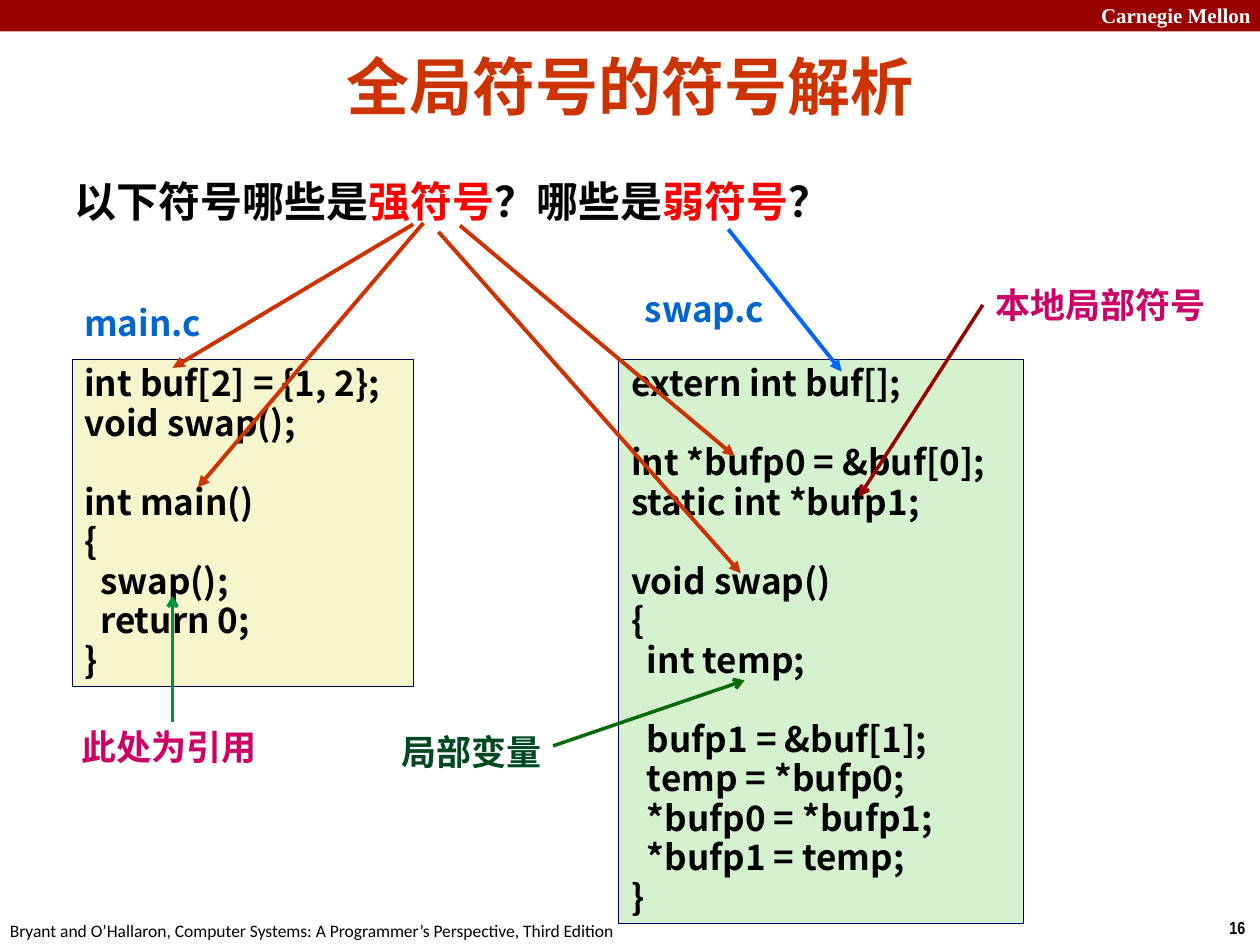
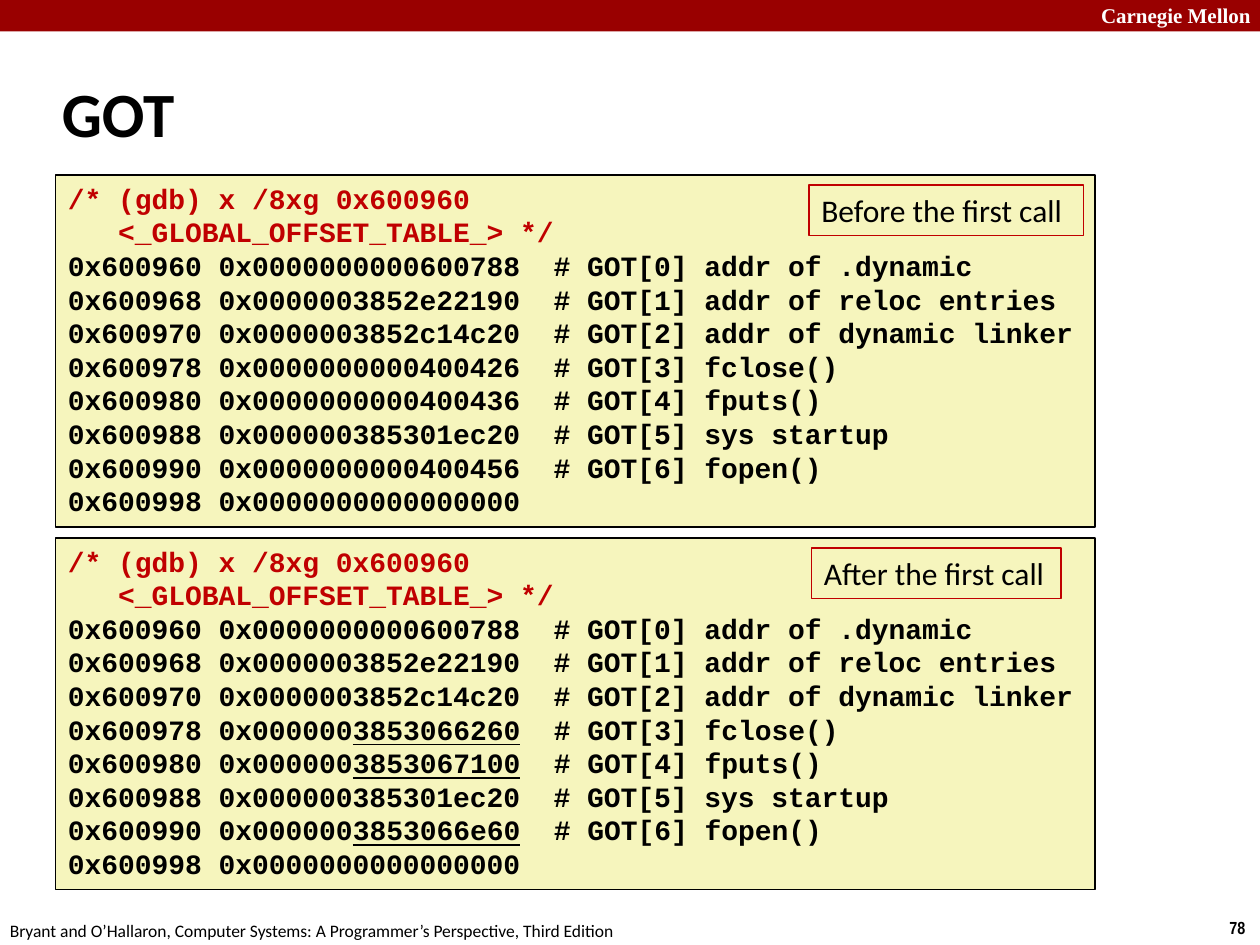
from dataclasses import dataclass, field
from typing import Any

from lxml import etree
from pptx import Presentation
from pptx import util as u
from pptx.dml import color
from pptx.enum import shapes, text
from pptx.oxml import ns

BAND_RED = "990000"
ORANGE = "CC3300"
BLUE = "0066CC"
MAGENTA = "CC0066"
RED = "FF0000"
DARK_RED = "C00000"
BLACK = "000000"
CJK = "Noto Sans CJK SC"
LEFT, CENTER, RIGHT = text.PP_ALIGN.LEFT, text.PP_ALIGN.CENTER, text.PP_ALIGN.RIGHT


@dataclass(frozen=True)
class Style:
    size: float
    font: str
    colour: str = BLACK
    bold: bool = True
    align: Any = LEFT
    spacing: float = 1.0


@dataclass(frozen=True)
class Run:
    words: str
    colour: str = ""
    underline: bool = False


@dataclass(frozen=True)
class Box:
    left: float
    top: float
    width: float
    height: float
    lines: list[list[Run]] = field(default_factory=list)
    style: Style = Style(20, CJK)
    fill: str = ""
    line: str = ""
    line_width: float = 1
    wrap: bool = True


@dataclass(frozen=True)
class Arrow:
    start: tuple[float, float]
    end: tuple[float, float]
    colour: str = ORANGE
    width: float = 2.25
    head: str = "triangle"


def rgb(value: str) -> color.RGBColor:
    return color.RGBColor.from_string(value)


def set_attributes(target: Any, values: dict[str, Any]) -> None:
    for name, value in values.items():
        setattr(target, name, value)


def plain(words: str) -> list[list[Run]]:
    return [[Run(line)] if line else [] for line in words.split("\n")]


def write_text(frame: Any, lines: list[list[Run]], style: Style, wrap: bool = True,
               anchor: Any = text.MSO_ANCHOR.TOP) -> None:
    set_attributes(frame, {
        "word_wrap": wrap, "auto_size": text.MSO_AUTO_SIZE.NONE, "vertical_anchor": anchor,
        "margin_left": u.Inches(0.1), "margin_right": u.Inches(0.1),
        "margin_top": u.Inches(0.05), "margin_bottom": u.Inches(0.05)})
    for index, runs in enumerate(lines):
        paragraph = frame.add_paragraph() if index else frame.paragraphs[0]
        set_attributes(paragraph, {"alignment": style.align, "line_spacing": style.spacing})
        for part in runs:
            run = paragraph.add_run()
            run.text = part.words
            set_attributes(run.font, {"size": u.Pt(style.size), "name": style.font,
                                      "bold": style.bold, "underline": part.underline})
            run.font.color.rgb = rgb(part.colour or style.colour)
            east_asian = etree.Element(ns.qn("a:ea"), typeface=CJK)
            run.font._element.find(ns.qn("a:latin")).addnext(east_asian)
        if not runs:
            end = etree.SubElement(paragraph._p, ns.qn("a:endParaRPr"),
                                   sz=str(int(style.size * 100)), b="1")
            etree.SubElement(end, ns.qn("a:latin"), typeface=style.font)


def add_box(slide: Any, box: Box) -> None:
    place = [u.Inches(value) for value in (box.left, box.top, box.width, box.height)]
    if box.fill or box.line:
        shape = slide.shapes.add_shape(shapes.MSO_SHAPE.RECTANGLE, *place)
        shape.shadow.inherit = False
        if box.fill:
            shape.fill.solid()
            shape.fill.fore_color.rgb = rgb(box.fill)
        else:
            shape.fill.background()
        if box.line:
            shape.line.color.rgb = rgb(box.line)
            shape.line.width = u.Pt(box.line_width)
        else:
            shape.line.fill.background()
    else:
        shape = slide.shapes.add_textbox(*place)
    write_text(shape.text_frame, box.lines, box.style, box.wrap)


def add_arrow(slide: Any, arrow: Arrow) -> None:
    points = [u.Inches(value) for value in (*arrow.start, *arrow.end)]
    connector = slide.shapes.add_connector(shapes.MSO_CONNECTOR.STRAIGHT, *points)
    connector.line.color.rgb = rgb(arrow.colour)
    connector.line.width = u.Pt(arrow.width)
    etree.SubElement(connector.line._get_or_add_ln(), ns.qn("a:tailEnd"), type=arrow.head)
    etree.SubElement(connector._element.spPr, ns.qn("a:effectLst"))


def add_titled_slide(presentation: Any, title: str, place: tuple[float, ...],
                     style: Style, number: str) -> Any:
    slide = presentation.slides.add_slide(presentation.slide_layouts[5])
    sides = zip(("left", "top", "width", "height"), place)
    set_attributes(slide.shapes.title, {side: u.Inches(value) for side, value in sides})
    write_text(slide.shapes.title.text_frame, plain(title), style,
               anchor=text.MSO_ANCHOR.MIDDLE)
    book = "Bryant and O’Hallaron, Computer Systems: A Programmer’s Perspective, Third Edition"
    for box in (
        Box(0, 0, 10, 0.25, fill=BAND_RED),
        Box(8.64, -0.03, 1.43, 0.3, plain("Carnegie Mellon"),
            Style(12, "Times New Roman", "FFFFFF")),
        Box(9.66, 7.23, 0.34, 0.27, plain(number), Style(10, "Arial Narrow"), wrap=False),
        Box(-0.02, 7.25, 5.08, 0.27, plain(book), Style(10, "Calibri", bold=False), wrap=False),
    ):
        add_box(slide, box)
    return slide


MAIN_CODE = """int buf[2] = {1, 2};
void swap();

int main()
{
  swap();
  return 0;
}"""

SWAP_CODE = """extern int buf[];

int *bufp0 = &buf[0];
static int *bufp1;

void swap()
{
  int temp;

  bufp1 = &buf[1];
  temp = *bufp0;
  *bufp0 = *bufp1;
  *bufp1 = temp;
}"""


def build_symbols(presentation: Any) -> None:
    slide = add_titled_slide(presentation, "全局符号的符号解析", (0.5, 0.37, 9, 0.61),
                             Style(36, "Arial", ORANGE, align=CENTER), "16")
    code = Style(20, CJK, spacing=0.94)
    file_name = Style(20, CJK, BLUE, spacing=0.94)
    note = Style(20, CJK, MAGENTA)
    question = [[Run("以下符号哪些是"), Run("强符号", RED), Run("？哪些是"),
                 Run("弱符号", RED), Run("？")]]
    for box in (
        Box(0.57, 2.85, 2.71, 2.6, plain(MAIN_CODE), code, "F7F5CD", "000066", 0.25),
        Box(0.57, 2.37, 1.29, 0.41, plain("main.c"), file_name),
        Box(4.91, 2.85, 3.21, 4.48, plain(SWAP_CODE), code, "D5F1CF", "000066", 0.25),
        Box(5.02, 2.26, 1.46, 0.41, plain("swap.c"), file_name),
        Box(0.55, 5.71, 1.59, 0.43, plain("此处为引用"), note, wrap=False),
        Box(7.8, 2.2, 1.92, 0.43, plain("本地局部符号"), note, wrap=False),
        Box(3.09, 5.75, 1.31, 0.43, plain("局部变量"),
            Style(20, CJK, "004821", align=RIGHT), wrap=False),
        Box(0.49, 1.34, 6.97, 0.5, question, Style(24, "Arial")),
    ):
        add_box(slide, box)
    for arrow in (
        Arrow((1.37, 5.73), (1.37, 4.73), "009242", 2, "arrow"),
        Arrow((7.8, 2.42), (6.82, 3.94), BAND_RED, 2, "arrow"),
        Arrow((4.39, 5.92), (5.91, 5.4), "0A6A0A", 2, "arrow"),
        Arrow((3.36, 1.77), (1.57, 3.87)),
        Arrow((3.28, 1.78), (1.37, 2.92)),
        Arrow((3.65, 1.79), (5.83, 3.62)),
        Arrow((3.48, 1.84), (5.88, 4.55)),
        Arrow((5.78, 1.82), (6.68, 2.95), "0066FF"),
    ):
        add_arrow(slide, arrow)


GOT_NOTES = ["addr of .dynamic", "addr of reloc entries", "addr of dynamic linker",
             "fclose()", "fputs()", "sys startup", "fopen()"]
GOT_BEFORE = [0x600788, 0x3852E22190, 0x3852C14C20, 0x400426, 0x400436,
              0x385301EC20, 0x400456, 0]
RESOLVED = {3: 0x3853066260, 4: 0x3853067100, 6: 0x3853066E60}


def got_dump(resolved: dict[int, int]) -> list[list[Run]]:
    lines = [[Run("/* (gdb) x /8xg 0x600960", DARK_RED)],
             [Run("   <_GLOBAL_OFFSET_TABLE_> */", DARK_RED)]]
    for index, value in enumerate(GOT_BEFORE):
        digits = f"{resolved.get(index, value):016x}"
        address = f"{0x600960 + 8 * index:#x} 0x"
        note = f"  # GOT[{index}] {GOT_NOTES[index]}" if index < len(GOT_NOTES) else ""
        if index in resolved:
            lines.append([Run(address + digits[:6]), Run(digits[6:], underline=True), Run(note)])
        else:
            lines.append([Run(address + digits + note)])
    return lines


def build_got(presentation: Any) -> None:
    slide = add_titled_slide(presentation, "GOT", (0.39, 0.48, 8.3, 0.83),
                             Style(36, "Calibri"), "78")
    code = Style(16, "Courier New")
    caption = Style(18, "Calibri", bold=False)
    for top, resolved, words, left, width in (
        (1.39, {}, "Before the first call", 6.42, 2.18),
        (4.27, RESOLVED, "After the first call", 6.44, 1.98),
    ):
        add_box(slide, Box(0.44, top, 8.25, 2.79, got_dump(resolved), code, "F6F5BD", BLACK))
        add_box(slide, Box(left, top + 0.08, width, 0.4, plain(words), caption,
                           line=DARK_RED, wrap=False))


def main() -> None:
    presentation = Presentation()
    set_attributes(presentation, {"slide_width": u.Inches(10), "slide_height": u.Inches(7.5)})
    build_symbols(presentation)
    build_got(presentation)
    presentation.save("out.pptx")


if __name__ == "__main__":
    main()
